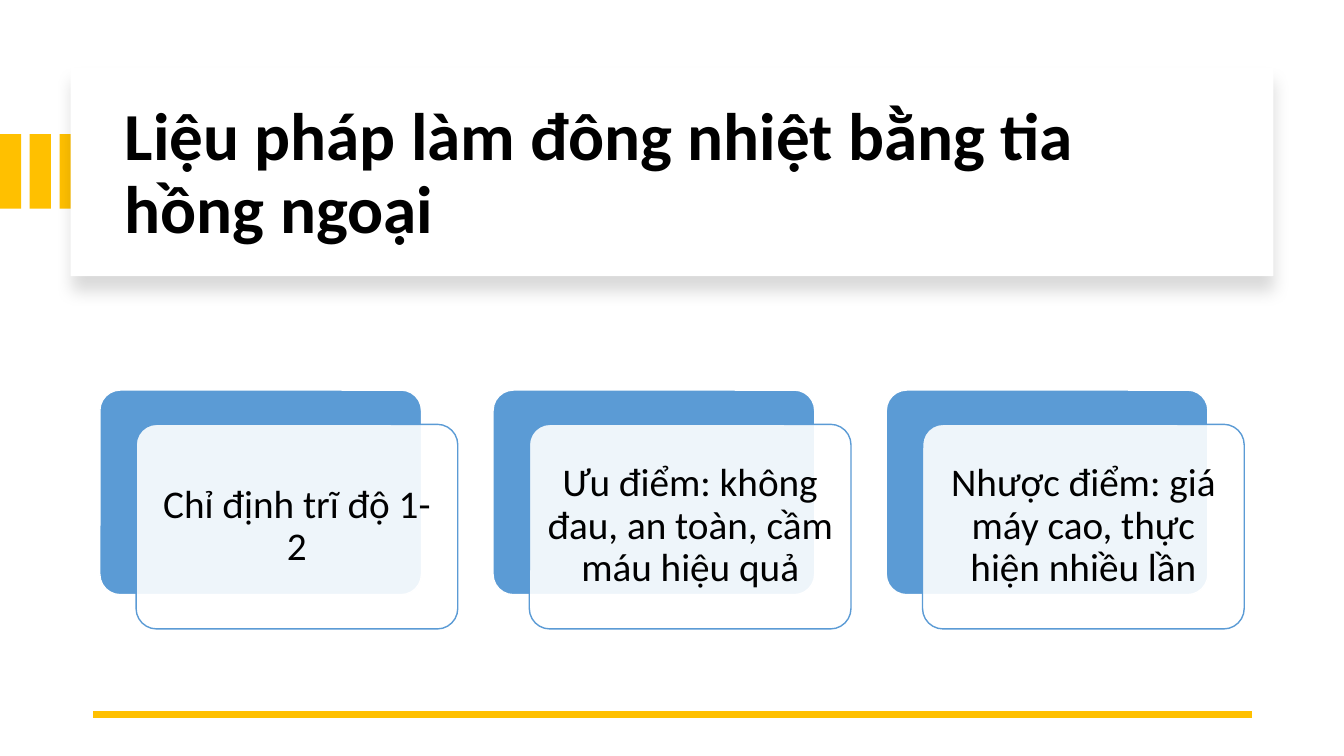
from lxml import etree
from pptx import Presentation
from pptx.dml.color import RGBColor
from pptx.enum.shapes import MSO_CONNECTOR, MSO_SHAPE
from pptx.enum.text import MSO_ANCHOR, PP_ALIGN
from pptx.oxml.ns import qn
from pptx.util import Inches, Pt

COLORS = {
    "gold": "FFC000",
    "blue": "5B9BD5",
    "white": "FFFFFF",
    "black": "000000",
}
FONT = "Calibri"
TITLE = "Liệu pháp làm đông nhiệt bằng tia hồng ngoại"
POINTS = [
    "Chỉ định trĩ độ 1-2",
    "Ưu điểm: không đau, an toàn, cầm máu hiệu quả",
    "Nhược điểm: giá máy cao, thực hiện nhiều lần",
]
CARD_LEFT, CARD_TOP, CARD_PITCH = 0.99, 3.87, 3.9
CARD_WIDTH, CARD_HEIGHT = 3.19, 2.03
FRONT_OFFSET_X, FRONT_OFFSET_Y = 0.36, 0.34


def color(name):
    return RGBColor.from_string(COLORS[name])


def add_block(slide, preset, left, top, width, height, fill, line=None):
    block = slide.shapes.add_shape(
        preset, Inches(left), Inches(top), Inches(width), Inches(height))
    block.shadow.inherit = False
    block.fill.solid()
    block.fill.fore_color.rgb = color(fill)
    if line:
        block.line.color.rgb = color(line)
        block.line.width = Pt(1)
    else:
        block.line.fill.background()
    return block


def set_alpha(fill_parent, percent):
    srgb = fill_parent.find(".//" + qn("a:srgbClr"))
    etree.SubElement(srgb, qn("a:alpha"), val=str(percent * 1000))


def add_drop_shadow(block):
    effects = block.element.spPr.find(qn("a:effectLst"))
    shadow = etree.SubElement(
        effects, qn("a:outerShdw"), blurRad=str(Pt(11)), dist=str(Pt(10)),
        dir="5400000", algn="t", rotWithShape="0")
    etree.SubElement(shadow, qn("a:srgbClr"), val=COLORS["black"])
    set_alpha(shadow, 15)


def write_text(shape, text, size, bold=False, align=PP_ALIGN.LEFT):
    frame = shape.text_frame
    frame.word_wrap = True
    frame.vertical_anchor = MSO_ANCHOR.MIDDLE
    paragraph = frame.paragraphs[0]
    paragraph.text = text
    paragraph.alignment = align
    paragraph.line_spacing = 0.9
    paragraph.font.name = FONT
    paragraph.font.size = Pt(size)
    paragraph.font.bold = bold
    paragraph.font.color.rgb = color("black")


def add_header(slide):
    for index in range(3):
        add_block(slide, MSO_SHAPE.RECTANGLE,
                  index * 0.295, 1.33, 0.21, 0.74, "gold")
    banner = add_block(slide, MSO_SHAPE.RECTANGLE,
                       0.7, 0.67, 11.93, 2.07, "white")
    add_drop_shadow(banner)
    title = slide.shapes.add_textbox(
        Inches(1.14), Inches(0.89), Inches(11.13), Inches(1.7))
    write_text(title, TITLE, 48, bold=True)


def add_footer_rule(slide):
    rule = slide.shapes.add_connector(
        MSO_CONNECTOR.STRAIGHT,
        Inches(12.42), Inches(7.09), Inches(0.92), Inches(7.09))
    rule.line.color.rgb = color("gold")
    rule.line.width = Pt(4.5)
    etree.SubElement(rule.element.spPr, qn("a:effectLst"))


def add_card(slide, left, text):
    """Add a blue plate with a translucent text card shifted in front of it."""
    plate = add_block(slide, MSO_SHAPE.ROUNDED_RECTANGLE, left, CARD_TOP,
                      CARD_WIDTH, CARD_HEIGHT, "blue", "white")
    front = add_block(slide, MSO_SHAPE.ROUNDED_RECTANGLE,
                      left + FRONT_OFFSET_X, CARD_TOP + FRONT_OFFSET_Y,
                      CARD_WIDTH, CARD_HEIGHT, "white", "blue")
    for layer in (plate, front):
        layer.adjustments[0] = 0.1
    set_alpha(front.element.spPr.find(qn("a:solidFill")), 90)
    frame = front.text_frame
    frame.margin_left = frame.margin_right = Inches(0.12)
    frame.margin_top = frame.margin_bottom = Inches(0.12)
    write_text(front, text, 28, align=PP_ALIGN.CENTER)


def main():
    presentation = Presentation()
    presentation.slide_width = Inches(13.33)
    presentation.slide_height = Inches(7.5)
    slide = presentation.slides.add_slide(presentation.slide_layouts[6])
    add_header(slide)
    add_footer_rule(slide)
    for index, text in enumerate(POINTS):
        add_card(slide, CARD_LEFT + index * CARD_PITCH, text)
    presentation.save("out.pptx")


if __name__ == "__main__":
    main()
